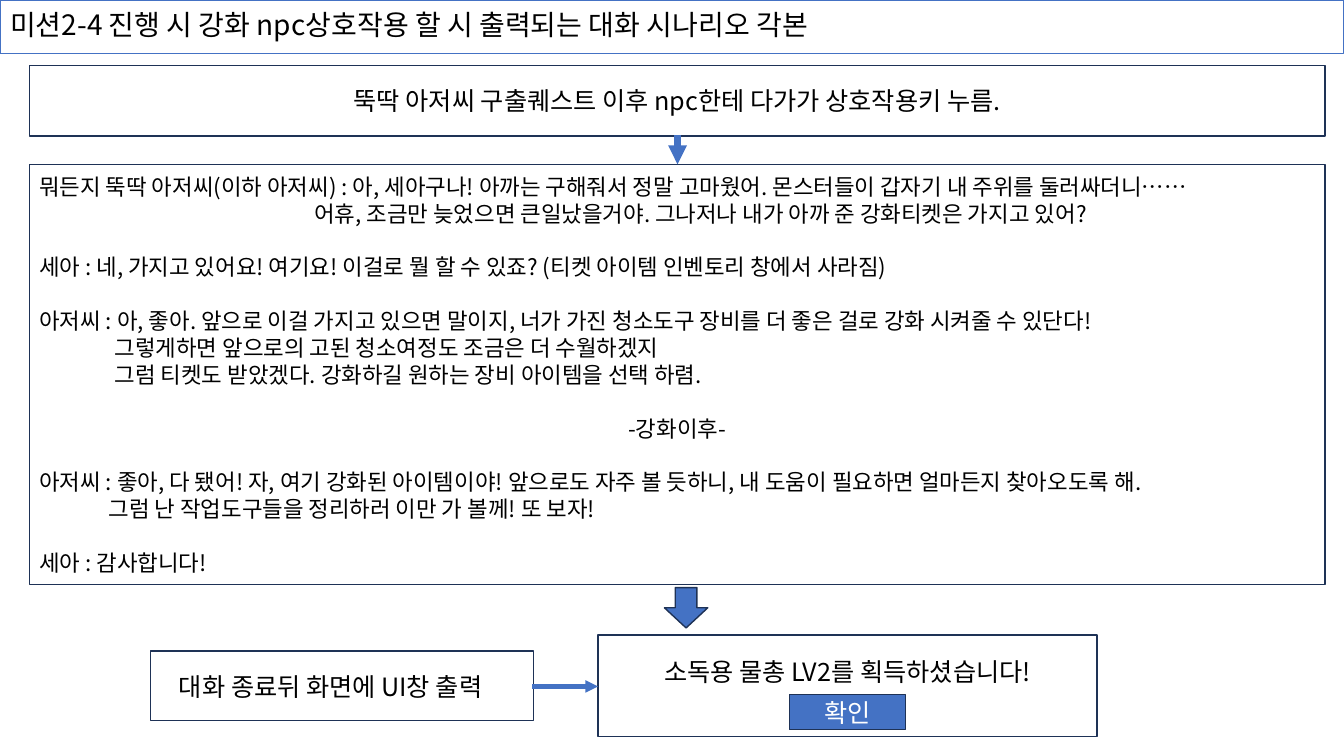
"""Builds the dialogue script slide for the upgrade character in mission 2-4."""
from lxml import etree
from pptx import Presentation
from pptx.dml.color import RGBColor
from pptx.enum.shapes import MSO_CONNECTOR as Connector, MSO_SHAPE as Shape
from pptx.enum.text import MSO_ANCHOR as Anchor, MSO_AUTO_SIZE as AutoSize, PP_ALIGN as Align
from pptx.oxml.ns import qn
from pptx.util import Inches, Pt

FONT = "Noto Sans CJK KR"
COLORS = {"blue": "4472C4", "navy": "1E3256", "white": "FFFFFF", "black": "000000"}
LINE_HEIGHT = 19.2

TITLE = "미션2-4 진행 시 강화 npc상호작용 할 시 출력되는 대화 시나리오 각본"
TRIGGER = "뚝딱 아저씨 구출퀘스트 이후 npc한테 다가가 상호작용키 누름."
ENDING = "대화 종료뒤 화면에 UI창 출력"
REWARD = "소독용 물총 LV2를 획득하셨습니다!"
CONFIRM = "확인"

# Each speech: alignment, indent of continuation lines, lines
SPEECHES = [
    (Align.LEFT, 2.73, [
        "뭐든지 뚝딱 아저씨(이하 아저씨) : 아, 세아구나! 아까는 구해줘서 정말 고마웠어. 몬스터들이 갑자기 내 주위를 둘러싸더니……",
        "어휴, 조금만 늦었으면 큰일났을거야. 그나저나 내가 아까 준 강화티켓은 가지고 있어?"]),
    (Align.LEFT, 0, ["세아 : 네, 가지고 있어요! 여기요! 이걸로 뭘 할 수 있죠? (티켓 아이템 인벤토리 창에서 사라짐)"]),
    (Align.LEFT, 0.75, [
        "아저씨 : 아, 좋아. 앞으로 이걸 가지고 있으면 말이지, 너가 가진 청소도구 장비를 더 좋은 걸로 강화 시켜줄 수 있단다!",
        "그렇게하면 앞으로의 고된 청소여정도 조금은 더 수월하겠지",
        "그럼 티켓도 받았겠다. 강화하길 원하는 장비 아이템을 선택 하렴."]),
    (Align.CENTER, 0, ["-강화이후-"]),
    (Align.LEFT, 0.69, [
        "아저씨 : 좋아, 다 됐어! 자, 여기 강화된 아이템이야! 앞으로도 자주 볼 듯하니, 내 도움이 필요하면 얼마든지 찾아오도록 해.",
        "그럼 난 작업도구들을 정리하러 이만 가 볼께! 또 보자!"]),
    (Align.LEFT, 0, ["세아 : 감사합니다!"]),
]


def color(name):
    return RGBColor.from_string(COLORS[name])


def place(shape, box):
    shape.left, shape.top, shape.width, shape.height = map(Inches, box)


def add_run(paragraph, text, size, ink="black"):
    run = paragraph.add_run()
    run.text = text
    run.font.size = Pt(size)
    run.font.name = FONT
    run.font.color.rgb = color(ink)
    east_asian = etree.SubElement(run.font._element, qn("a:ea"))
    east_asian.set("typeface", FONT)


def add_block(kind, box, fill="white"):
    shape = slide.shapes.add_shape(kind, *map(Inches, box))
    shape.shadow.inherit = False
    shape.fill.solid()
    shape.fill.fore_color.rgb = color(fill)
    shape.line.color.rgb = color("navy")
    shape.line.width = Pt(1)
    shape.text_frame.word_wrap = True
    shape.text_frame.vertical_anchor = Anchor.MIDDLE
    return shape


def add_label(box, text, fill="white", ink="black", right=0.1, bottom=0.05):
    frame = add_block(Shape.RECTANGLE, box, fill).text_frame
    frame.margin_right, frame.margin_bottom = Inches(right), Inches(bottom)
    frame.paragraphs[0].alignment = Align.CENTER
    add_run(frame.paragraphs[0], text, 18, ink)


def add_arrow(start, end, width):
    arrow = slide.shapes.add_connector(Connector.STRAIGHT, *map(Inches, start + end))
    arrow.line.color.rgb = color("blue")
    arrow.line.width = Pt(width)
    etree.SubElement(arrow.line._get_or_add_ln(), qn("a:tailEnd")).set("type", "triangle")
    etree.SubElement(arrow._element.spPr, qn("a:effectLst"))


presentation = Presentation()
presentation.slide_width, presentation.slide_height = Inches(13.33), Inches(7.5)
slide = presentation.slides.add_slide(presentation.slide_layouts[5])

title = slide.shapes.title
place(title, (0, 0, 13.33, 0.53))
title.line.color.rgb = color("blue")
title.line.width = Pt(0.75)
title.text_frame.auto_size = AutoSize.NONE
title.text_frame.vertical_anchor = Anchor.MIDDLE
heading = title.text_frame.paragraphs[0]
heading.alignment = Align.LEFT
heading.line_spacing = 0.9
add_run(heading, TITLE, 20)

add_label((0.29, 0.65, 12.85, 0.7), TRIGGER)

dialogue = add_block(Shape.RECTANGLE, (0.29, 1.63, 12.85, 4.17)).text_frame
paragraph = dialogue.paragraphs[0]
for speech_number, (alignment, indent, lines) in enumerate(SPEECHES):
    for line_number, line in enumerate(lines):
        if speech_number or line_number:
            paragraph = dialogue.add_paragraph()
        paragraph.alignment = alignment
        paragraph.line_spacing = Pt(LINE_HEIGHT)
        if line_number:
            paragraph._p.get_or_add_pPr().set("marL", str(Inches(indent)))
        elif speech_number:
            paragraph.space_before = Pt(LINE_HEIGHT)
        add_run(paragraph, line, 16)

add_label((5.93, 6.3, 4.95, 1.01), REWARD, bottom=0.33)
add_label((1.49, 6.46, 3.8, 0.69), ENDING, right=0.32)
add_label((7.83, 6.89, 1.15, 0.35), CONFIRM, "blue", "white")

add_arrow((5.28, 6.81), (5.93, 6.81), 3)
add_arrow((6.72, 1.34), (6.72, 1.63), 4.5)
add_block(Shape.DOWN_ARROW, (6.59, 5.83, 0.43, 0.4), "blue")

presentation.save("out.pptx")
